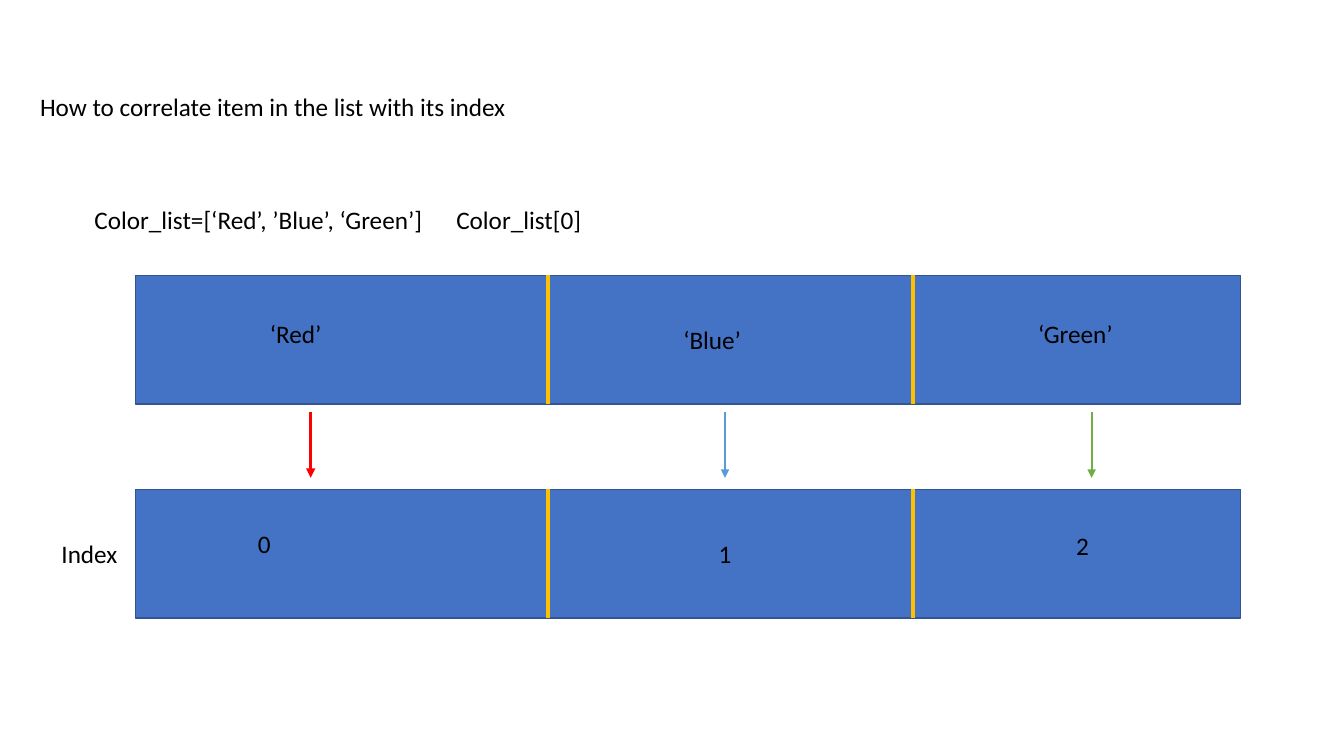
from lxml import etree
from pptx import Presentation
from pptx.dml.color import RGBColor
from pptx.enum.shapes import MSO_CONNECTOR, MSO_SHAPE
from pptx.enum.text import MSO_AUTO_SIZE
from pptx.oxml.ns import qn
from pptx.util import Cm, Pt

STRAIGHT = MSO_CONNECTOR.STRAIGHT
RECTANGLE = MSO_SHAPE.RECTANGLE
FIT_SHAPE = MSO_AUTO_SIZE.SHAPE_TO_FIT_TEXT

COLORS = {
    "bar": "4472C4",
    "bar edge": "325491",
    "divider": "FFC000",
    "red": "FF0000",
    "blue": "5B9BD5",
    "green": "70AD47",
    "text": "000000",
}

deck = Presentation()
deck.slide_width, deck.slide_height = Cm(33.87), Cm(19.05)
page = deck.slides.add_slide(deck.slide_layouts[6])


def add_line(x, top, bottom, color, weight):
    line = page.shapes.add_connector(STRAIGHT, Cm(x), Cm(top), Cm(x), Cm(bottom))
    line.line.color.rgb = RGBColor.from_string(COLORS[color])
    line.line.width = Pt(weight)
    etree.SubElement(line._element.spPr, qn("a:effectLst"))
    return line


def add_label(text, left, top, width):
    box = page.shapes.add_textbox(Cm(left), Cm(top), Cm(width), Cm(1.03))
    frame = box.text_frame
    frame.word_wrap = True
    frame.auto_size = FIT_SHAPE
    frame.text = text
    para = frame.paragraphs[0]
    for span in para.runs:
        span.font.name = "Calibri"
        span.font.size = Pt(18)
        span.font.color.rgb = RGBColor.from_string(COLORS["text"])
    return para


bar_height = 3.24
for bar_top in (6.94, 12.33):
    bar = page.shapes.add_shape(RECTANGLE, Cm(3.41), Cm(bar_top), Cm(27.86), Cm(bar_height))
    bar.shadow.inherit = False
    bar.fill.solid()
    bar.fill.fore_color.rgb = RGBColor.from_string(COLORS["bar"])
    bar.line.color.rgb = RGBColor.from_string(COLORS["bar edge"])
    bar.line.width = Pt(1)
    for divider_x in (13.82, 23.01):
        add_line(divider_x, bar_top, bar_top + bar_height, "divider", 3)

for item, left, top in (("‘Red’", 6.55, 7.9), ("‘Blue’", 16.97, 8.05), ("‘Green’", 25.91, 7.9)):
    add_label(item, left, top, 4.75)

for index, left, top in (("0", 6.25, 13.2), ("1", 17.86, 13.44), ("2", 26.87, 13.24)):
    add_label(index, left, top, 4.85)

code = add_label("Color_list=[‘Red’, ’Blue’, ‘Green’]\tColor_list[0]", 2.13, 5.03, 14.55)
tabs = etree.SubElement(code._p.get_or_add_pPr(), qn("a:tabLst"))
etree.SubElement(tabs, qn("a:tab"), pos=str(Cm(9.12)), algn="l")

add_label("Index", 1.3, 13.44, 2.13)

for color, x, weight in (("red", 7.83, 2.25), ("blue", 18.27, 1.5), ("green", 27.51, 1.5)):
    arrow = add_line(x, 10.39, 12.04, color, weight)
    etree.SubElement(arrow.line._get_or_add_ln(), qn("a:tailEnd"), type="triangle")

add_label("How to correlate item in the list with its index", 0.76, 2.18, 14.22)

deck.save("out.pptx")
